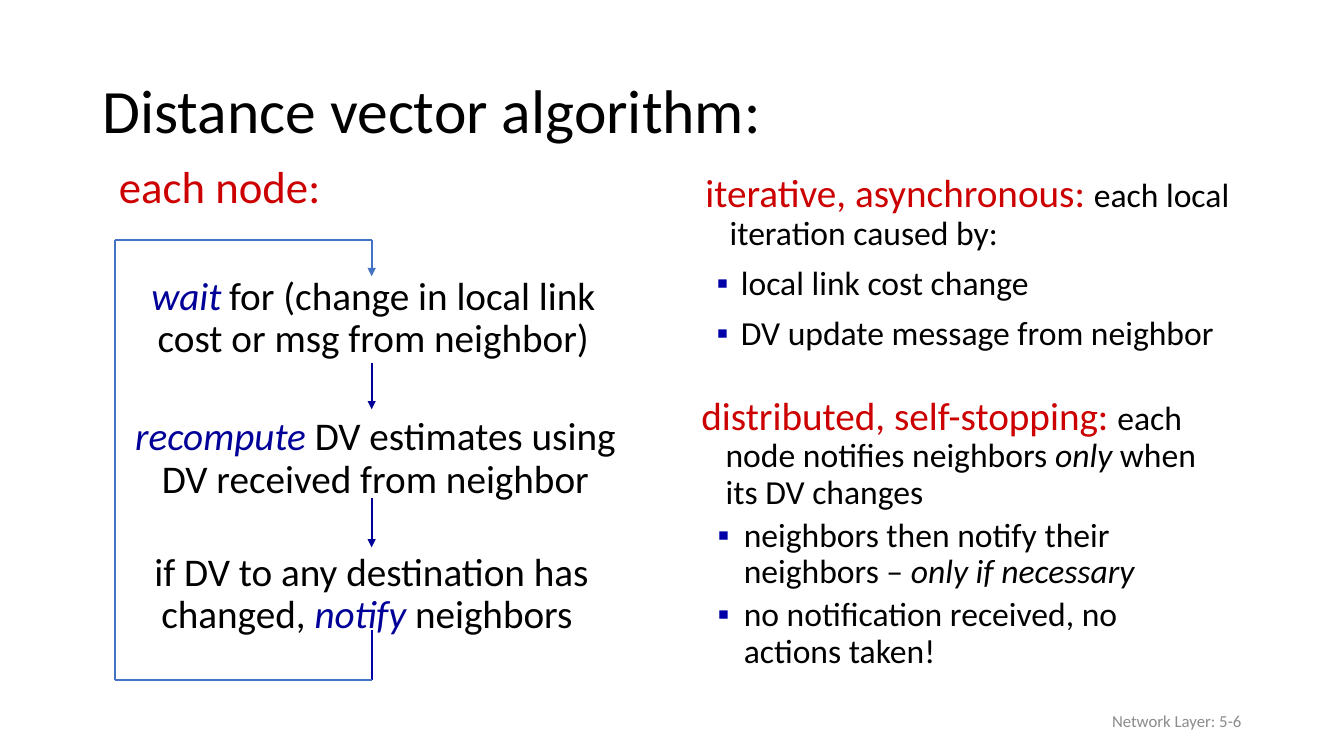
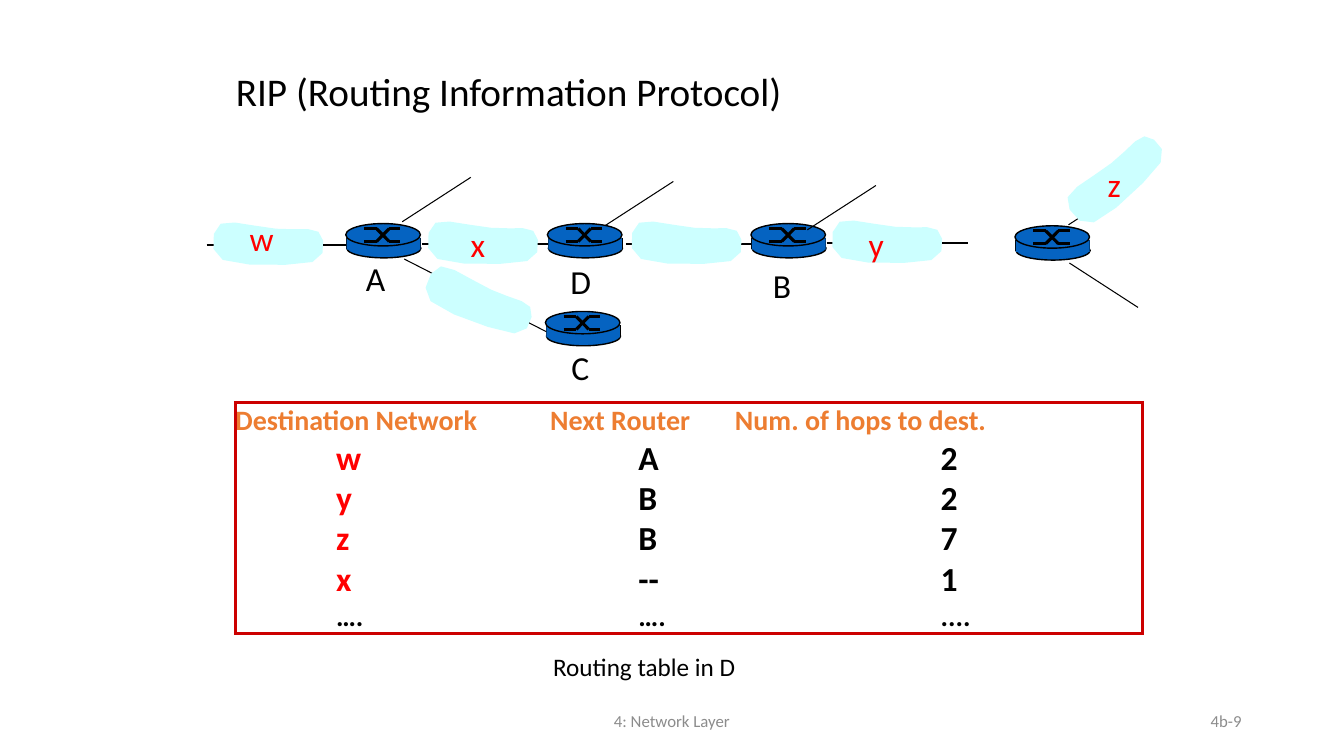
from dataclasses import dataclass, field
from itertools import pairwise
from typing import Any, NamedTuple

from lxml.etree import SubElement
from pptx import Presentation
from pptx.dml.color import RGBColor
from pptx.enum.shapes import MSO_CONNECTOR, MSO_SHAPE
from pptx.enum.text import MSO_ANCHOR, MSO_AUTO_SIZE, PP_ALIGN
from pptx.oxml import parse_xml
from pptx.oxml.ns import nsdecls, qn
from pptx.util import Pt


@dataclass(frozen=True)
class Theme:
    font: str = "Calibri"
    black: str = "000000"
    grey: str = "8C8C8C"
    heading: str = "CC0000"
    keyword: str = "000099"
    bullet: str = "0000A8"
    loop: str = "4472C4"
    network: str = "FF0000"
    cloud: str = "CCFFFF"
    router: str = "0563C1"
    table_head: str = "ED7D31"
    title: float = 44
    section: float = 32
    lead: float = 28
    text: float = 24
    table_small: float = 20
    caption: float = 18
    footer: float = 12


THEME = Theme()


class Point(NamedTuple):
    x: float
    y: float


class Area(NamedTuple):
    left: float
    top: float
    width: float
    height: float

    def lengths(self) -> list[Pt]:
        return [Pt(value) for value in self]


@dataclass(frozen=True)
class Span:
    text: str
    size: float = THEME.text
    color: str = THEME.black
    italic: bool = False
    bold: bool = False


@dataclass(frozen=True)
class Para:
    spans: list[Span]
    format: dict[str, Any] = field(default_factory=dict)
    indent: tuple[float, float] = (0, 0)
    bullet: bool = False


class Cloud(NamedTuple):
    left: float
    top: float
    rotation: float = 0


class Label(NamedTuple):
    text: str
    left: float
    top: float
    color: str = THEME.black


# Text
def apply_format(target: Any, values: dict[str, Any]) -> None:
    for name, value in values.items():
        setattr(target, name, value)


def write_paragraph(paragraph: Any, para: Para) -> None:
    apply_format(paragraph, {"alignment": PP_ALIGN.LEFT, "space_before": Pt(0)} | para.format)
    properties = paragraph._p.get_or_add_pPr()
    margin, hanging = para.indent
    properties.set("marL", str(Pt(margin)))
    properties.set("indent", str(Pt(hanging)))
    if para.bullet:
        color = SubElement(properties, qn("a:buClr"))
        SubElement(color, qn("a:srgbClr"), val=THEME.bullet)
        SubElement(properties, qn("a:buChar"), char="▪")
    else:
        SubElement(properties, qn("a:buNone"))
    for span in para.spans:
        run = paragraph.add_run()
        run.text = span.text
        apply_format(run.font, {"name": THEME.font, "size": Pt(span.size),
                                "italic": span.italic, "bold": span.bold})
        run.font.color.rgb = RGBColor.from_string(span.color)


def write_text(frame: Any, paras: list[Para], **frame_format: Any) -> None:
    apply_format(frame, {"word_wrap": True, "auto_size": MSO_AUTO_SIZE.NONE,
                         "vertical_anchor": MSO_ANCHOR.TOP} | frame_format)
    for index, para in enumerate(paras):
        paragraph = frame.add_paragraph() if index else frame.paragraphs[0]
        write_paragraph(paragraph, para)


def add_text(page: Any, area: Area, paras: list[Para], **frame_format: Any) -> Any:
    box = page.shapes.add_textbox(*area.lengths())
    write_text(box.text_frame, paras, **frame_format)
    return box


def fill_placeholder(box: Any, area: Area, paras: list[Para], **frame_format: Any) -> None:
    apply_format(box, dict(zip(area._fields, area.lengths())))
    write_text(box.text_frame, paras, **frame_format)


def add_title(page: Any, area: Area, text: str, size: float) -> None:
    fill_placeholder(page.shapes.title, area, [Para([Span(text, size)], {"line_spacing": 0.9})],
                     vertical_anchor=MSO_ANCHOR.MIDDLE)


def add_footer(page: Any, text: str, centered: bool = False) -> None:
    area = Area(318, 500.4, 324, 28.8) if centered else Area(678, 500.4, 216, 28.8)
    alignment = PP_ALIGN.CENTER if centered else PP_ALIGN.RIGHT
    add_text(page, area, [Para([Span(text, THEME.footer, THEME.grey)], {"alignment": alignment})],
             vertical_anchor=MSO_ANCHOR.MIDDLE)


# Lines and shapes
def add_line(shapes: Any, start: Point, end: Point, color: str, width: float,
             arrow: bool = False) -> Any:
    line = shapes.add_connector(MSO_CONNECTOR.STRAIGHT, *(Pt(value) for value in (*start, *end)))
    line.line.color.rgb = RGBColor.from_string(color)
    line.line.width = Pt(width)
    if arrow:
        SubElement(line.line._get_or_add_ln(), qn("a:tailEnd"), type="triangle")
    SubElement(line.element.spPr, qn("a:effectLst"))
    return line


def paint(shape: Any, fill: str, outlined: bool = False) -> None:
    shape.shadow.inherit = False
    shape.fill.solid()
    shape.fill.fore_color.rgb = RGBColor.from_string(fill)
    if outlined:
        shape.line.color.rgb = RGBColor.from_string(THEME.black)
        shape.line.width = Pt(1)
    else:
        shape.line.fill.background()


# Slide 1: algorithm
def lead_para(heading: str, *spans: Span) -> Para:
    return Para([Span(heading, THEME.lead, THEME.heading), *spans],
                {"line_spacing": 0.9, "space_before": Pt(10)}, (28, -17.3))


def bullet_para(*spans: Span, level: int = 0) -> Para:
    space, indent = ((10, (36, -17.3)), (5, (41, -18.7)))[level]
    return Para(list(spans), {"level": level, "line_spacing": 0.9, "space_before": Pt(space)},
                indent, True)


def add_step(page: Any, top: float, bottom: float, inset: float, shift: float,
             spans: list[Span]) -> Any:
    para = Para(spans, {"alignment": PP_ALIGN.CENTER, "line_spacing": 0.9})
    return add_text(page, Area(84, top, 363, bottom - top), [para],
                    margin_top=Pt(inset), margin_bottom=0,
                    margin_left=Pt(7.2 + shift), margin_right=Pt(7.2 - shift))


def build_algorithm(deck: Any) -> None:
    page = deck.slides.add_slide(deck.slide_layouts[3])
    add_title(page, Area(66, 29, 828, 104.4), "Distance vector algorithm:", THEME.title)
    add_footer(page, "Network Layer: 5-6")

    # Properties on the right
    fill_placeholder(page.placeholders[1], Area(486, 120.5, 425.5, 155.5), [
        lead_para("iterative, asynchronous: ", Span("each local iteration caused by:")),
        bullet_para(Span("local link cost change")),
        bullet_para(Span("DV update message from neighbor"))])
    fill_placeholder(page.placeholders[2], Area(483.1, 279.6, 389, 229.7), [
        lead_para("distributed, self-stopping: ", Span("each node notifies neighbors "),
                  Span("only", italic=True), Span(" when its DV changes")),
        bullet_para(Span("neighbors then notify their neighbors – "),
                    Span("only if necessary", italic=True), level=1),
        bullet_para(Span("no notification received, no actions taken!"), level=1)])

    # Steps of each node
    add_text(page, Area(67, 109.6, 180, 46),
             [Para([Span("each node:", THEME.section, THEME.heading)],
                   {"alignment": PP_ALIGN.CENTER})])

    def plain(text: str) -> Span:
        return Span(text, THEME.lead)

    def keyword(text: str) -> Span:
        return Span(text, THEME.lead, THEME.keyword, italic=True)

    steps = [
        add_step(page, 197.4, 259, 0, 1.2, [keyword("wait"), Span(" "),
                 plain("for (change in local link cost or msg from neighbor)")]),
        add_step(page, 292.4, 356, 5.4, 2.6, [keyword("recompute"),
                 plain(" DV estimates using DV received from neighbor")]),
        add_step(page, 391, 450, 3.4, -0.2, [plain("if DV to any destination has changed, "),
                 keyword("notify"), plain(" neighbors ")])]
    origin = Point(0, 0)
    for upper, lower in pairwise(steps):
        arrow = add_line(page.shapes, origin, origin, THEME.keyword, 1.5, arrow=True)
        arrow.begin_connect(upper, 2)
        arrow.end_connect(lower, 0)

    # Loop back to the first step
    middle, left, top, bottom = 265.5, 82.4, 171.2, 486
    leaving = add_line(page.shapes, origin, Point(middle, bottom), THEME.bullet, 1.5)
    leaving.begin_connect(steps[-1], 2)
    corners = [Point(middle, bottom), Point(left, bottom), Point(left, top), Point(middle, top)]
    for start, end in pairwise(corners):
        add_line(page.shapes, start, end, THEME.loop, 1.5)
    entering = add_line(page.shapes, corners[-1], origin, THEME.loop, 1.5, arrow=True)
    entering.end_connect(steps[0], 0)


# Slide 2: network and routing table
CLOUD_START = Point(49, 7.2)
CLOUD_CURVES = [
    (Point(36.7, 6.5), Point(15.1, 0), Point(9.4, 3.6)),
    (Point(2.9, 7.2), Point(0, 25.2), Point(10.8, 29.5)),
    (Point(21.6, 34.6), Point(63.4, 33.8), Point(74.9, 31)),
    (Point(86.4, 27.4), Point(83.5, 13), Point(79.2, 9.4)),
    (Point(74.9, 5.8), Point(60.5, 8.6), CLOUD_START)]


def cloud_outline(steps: int = 3) -> list[Point]:
    outline, start = [CLOUD_START], CLOUD_START
    for first, second, end in CLOUD_CURVES:
        for step in range(1, steps + 1):
            t = step / steps
            weights = ((1 - t) ** 3, 3 * t * (1 - t) ** 2, 3 * t * t * (1 - t), t ** 3)
            outline.append(Point(*(sum(w * value for w, value in zip(weights, axis))
                                   for axis in zip(start, first, second, end))))
        start = end
    return outline[:-1]


def add_cloud(page: Any, cloud: Cloud) -> None:
    points = [(Pt(cloud.left + x), Pt(cloud.top + y)) for x, y in cloud_outline()]
    builder = page.shapes.build_freeform(*points[0])
    builder.add_line_segments(points[1:], close=True)
    shape = builder.convert_to_shape()
    paint(shape, THEME.cloud)
    shape.rotation = cloud.rotation


def add_router(page: Any, left: float, top: float) -> None:
    shapes = page.shapes.add_group_shape().shapes

    def add_part(kind: MSO_SHAPE, area: Area, outlined: bool) -> None:
        paint(shapes.add_shape(kind, *area.lengths()), THEME.router, outlined)

    add_part(MSO_SHAPE.OVAL, Area(left + 0.7, top + 10.8, 53, 13.7), True)
    for x in (left + 0.7, left + 53.3):
        add_line(shapes, Point(x, top + 10), Point(x, top + 18), THEME.black, 1)
    add_part(MSO_SHAPE.RECTANGLE, Area(left + 0.7, top + 10, 52.6, 8.6), False)
    add_part(MSO_SHAPE.OVAL, Area(left, top, 53.3, 16), True)
    high, low = top + 3.6, top + 12.8
    for begin, finish in ((high, low), (low, high)):
        strand = [Point(left + 13, begin), Point(left + 22, begin),
                  Point(left + 31, finish), Point(left + 39, finish)]
        for start, end in pairwise(strand):
            add_line(shapes, start, end, THEME.black, 2.25)


def outline_cell(cell: Any, edges: dict[str, bool]) -> None:
    properties = cell._tc.get_or_add_tcPr()
    for index, (side, visible) in enumerate(edges.items()):
        paint_xml = (f'<a:solidFill><a:srgbClr val="{THEME.heading}"/></a:solidFill>'
                     if visible else "<a:noFill/>")
        properties.insert(index, parse_xml(
            f'<a:ln{side} {nsdecls("a")} w="{Pt(2.25)}">{paint_xml}</a:ln{side}>'))


def add_routing_table(page: Any) -> None:
    rows = [("Destination Network", "Next Router", "Num. of hops to dest."),
            ("w", "A", "2"), ("y", "B", "2"), ("z", "B", "7"), ("x", "--", "1"),
            ("….", "….", "....")]
    starts = [168, 393, 525, 816]
    last_row, last_column = len(rows) - 1, len(starts) - 2
    area = Area(starts[0], 287.3, starts[-1] - starts[0], 165.2)
    table = page.shapes.add_table(len(rows), len(starts) - 1, *area.lengths()).table
    apply_format(table, {"first_row": False, "horz_banding": False})
    for column, (start, end) in zip(table.columns, pairwise(starts)):
        column.width = Pt(end - start)
    for r, row in enumerate(rows):
        entry = 0 < r < last_row
        table.rows[r].height = Pt(28.8 if entry else 24.4 if r else 25.6)
        for c, text in enumerate(row):
            cell = table.cell(r, c)
            inset = 240 + 216 * c - starts[c] if r else 0
            apply_format(cell, {"margin_left": Pt(inset), "margin_right": 0, "margin_top": 0,
                                "margin_bottom": 0, "vertical_anchor": MSO_ANCHOR.BOTTOM})
            color = THEME.table_head if r == 0 else THEME.network if entry and c == 0 else THEME.black
            size = THEME.text if entry else THEME.table_small
            write_paragraph(cell.text_frame.paragraphs[0],
                            Para([Span(text, size, color, bold=True)],
                                 {"line_spacing": 0.98 if entry else 1.0}))
            cell.fill.background()
            outline_cell(cell, {"L": c == 0, "R": c == last_column, "T": r == 0, "B": r == last_row})


def build_routing(deck: Any) -> None:
    page = deck.slides.add_slide(deck.slide_layouts[5])
    add_title(page, Area(161.3, 22, 612, 90), "RIP (Routing Information Protocol)", THEME.lead)
    add_footer(page, "4: Network Layer", centered=True)
    add_footer(page, "4b-9")

    # Links, routers and spokes
    for x, y in ((147.6, 175), (301.7, 174.2), (447, 174.2), (590.4, 173.5)):
        add_line(page.shapes, Point(x, y), Point(x + 100.8, y), THEME.black, 1)
    for left, top in ((247, 159.7), (391, 159.7), (389.6, 222.5), (536.4, 159.7), (725, 161.3)):
        add_router(page, left, top)
    for x, y, rise in ((287.3, 158.4, -31.7), (432, 161.3, -31.7), (576.7, 164.2, -31.7),
                       (763.2, 160.6, -31.7), (763.9, 187.9, 31.7)):
        add_line(page.shapes, Point(x, y), Point(x + 49, y + rise), THEME.black, 0.75)
    add_line(page.shapes, Point(288.7, 185), Point(390.2, 236.9), THEME.black, 0.75)

    # Networks and their names
    for cloud in (Cloud(148.3, 156.2), Cloud(301.7, 155.5), Cloud(447.1, 155.5),
                  Cloud(590.4, 154.8), Cloud(298.8, 197.3, 19.7), Cloud(753.8, 110.2, 316.8)):
        add_cloud(page, cloud)
    for label in (Label("w", 171.2, 152.4, THEME.network), Label("x", 329, 156.2, THEME.network),
                  Label("y", 613.4, 156.2, THEME.network), Label("z", 784, 113.8, THEME.network),
                  Label("A", 254.2, 180.7), Label("C", 401, 244), Label("D", 400.3, 182.9),
                  Label("B", 545, 185.8)):
        add_text(page, Area(label.left, label.top, 34, 36),
                 [Para([Span(label.text, color=label.color)])])

    add_routing_table(page)
    add_text(page, Area(388, 461.5, 160, 29), [Para([Span("Routing table in D", THEME.caption)])])


def main() -> None:
    deck = Presentation()
    apply_format(deck, {"slide_width": Pt(960), "slide_height": Pt(540)})
    build_algorithm(deck)
    build_routing(deck)
    deck.save("out.pptx")


if __name__ == "__main__":
    main()
